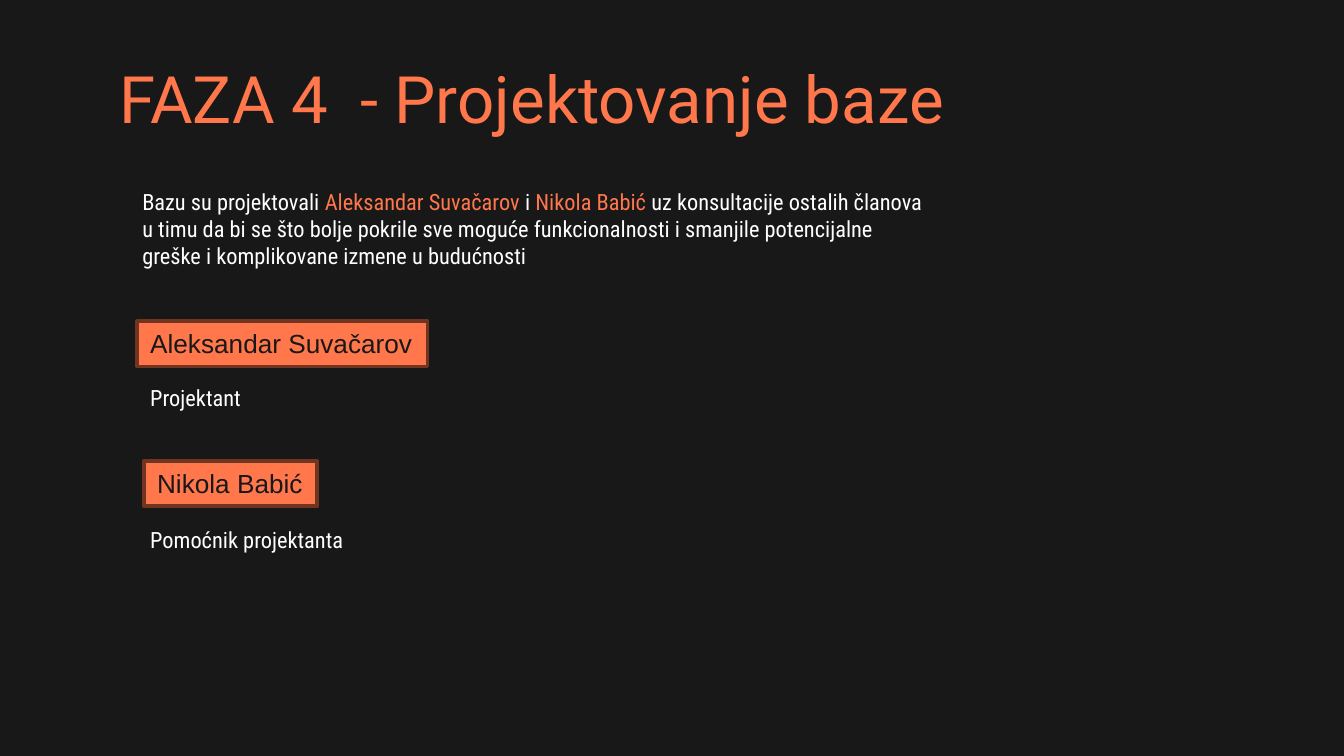
from dataclasses import dataclass

from pptx import Presentation
from pptx.dml.color import RGBColor
from pptx.enum import shapes, text
from pptx.util import Cm, Pt

DARK = RGBColor(0x18, 0x18, 0x18)
ORANGE = RGBColor(0xFF, 0x77, 0x4B)
BROWN = RGBColor(0x70, 0x34, 0x21)
WHITE = RGBColor(0xFF, 0xFF, 0xFF)
BODY_FONT = "Roboto Condensed"
BODY_WIDTH = 15.37


@dataclass
class Member:
    name: str
    role: str
    left: float
    top: float
    width: float
    role_top: float


MEMBERS = [
    Member("Aleksandar Suvačarov", "Projektant", 2.59, 6.07, 5.49, 7.14),
    Member("Nikola Babić", "Pomoćnik projektanta", 2.72, 8.71, 3.28, 9.83),
]

INTRO = [
    ("Bazu su projektovali ", WHITE),
    ("Aleksandar Suvačarov ", ORANGE),
    ("i ", WHITE),
    ("Nikola Babić ", ORANGE),
    ("uz konsultacije ostalih članova u timu da bi se što bolje pokrile sve "
     "moguće funkcionalnosti i smanjile potencijalne greške i komplikovane "
     "izmene u budućnosti", WHITE),
]


def style_run(r, font: str, size: float, color: RGBColor) -> None:
    r.font.name = font
    r.font.size = Pt(size)
    r.font.color.rgb = color


def add_title(s, title: str) -> None:
    sp = s.shapes.title
    sp.left, sp.top, sp.width, sp.height = Cm(2.01), Cm(1.04), Cm(21.41), Cm(1.6)
    tf = sp.text_frame
    tf.text = title
    tf.auto_size = text.MSO_AUTO_SIZE.NONE
    tf.vertical_anchor = text.MSO_ANCHOR.MIDDLE
    tf.margin_left = tf.margin_right = tf.margin_top = tf.margin_bottom = Cm(0.25)
    p = tf.paragraphs[0]
    p.alignment = text.PP_ALIGN.LEFT
    style_run(p.runs[0], "Roboto", 35, ORANGE)


def add_body(s, left: float, top: float, height: float,
             parts: list[tuple[str, RGBColor]]) -> None:
    sp = s.shapes.add_textbox(Cm(left), Cm(top), Cm(BODY_WIDTH), Cm(height))
    tf = sp.text_frame
    tf.word_wrap = True
    tf.auto_size = text.MSO_AUTO_SIZE.SHAPE_TO_FIT_TEXT
    for words, color in parts:
        r = tf.paragraphs[0].add_run()
        r.text = words
        style_run(r, BODY_FONT, 12, color)


def add_member(s, member: Member) -> None:
    sp = s.shapes.add_shape(shapes.MSO_SHAPE.RECTANGLE, Cm(member.left),
                            Cm(member.top), Cm(member.width), Cm(0.86))
    sp.shadow.inherit = False
    sp.fill.solid()
    sp.fill.fore_color.rgb = ORANGE
    sp.line.color.rgb = BROWN
    sp.line.width = Pt(2)
    tf = sp.text_frame
    tf.text = member.name
    tf.word_wrap = False
    tf.auto_size = text.MSO_AUTO_SIZE.SHAPE_TO_FIT_TEXT
    tf.vertical_anchor = text.MSO_ANCHOR.TOP
    p = tf.paragraphs[0]
    p.alignment = text.PP_ALIGN.LEFT
    style_run(p.runs[0], "Arial", 14, DARK)
    add_body(s, 2.59, member.role_top, 0.76, [(member.role, WHITE)])


def main() -> None:
    prs = Presentation()
    prs.slide_width, prs.slide_height = Cm(25.4), Cm(14.29)
    s = prs.slides.add_slide(prs.slide_layouts[5])
    s.background.fill.solid()
    s.background.fill.fore_color.rgb = DARK
    add_title(s, "FAZA 4  - Projektovanje baze")
    add_body(s, 2.44, 3.43, 1.8, INTRO)
    for member in MEMBERS:
        add_member(s, member)
    prs.save("out.pptx")


if __name__ == "__main__":
    main()
